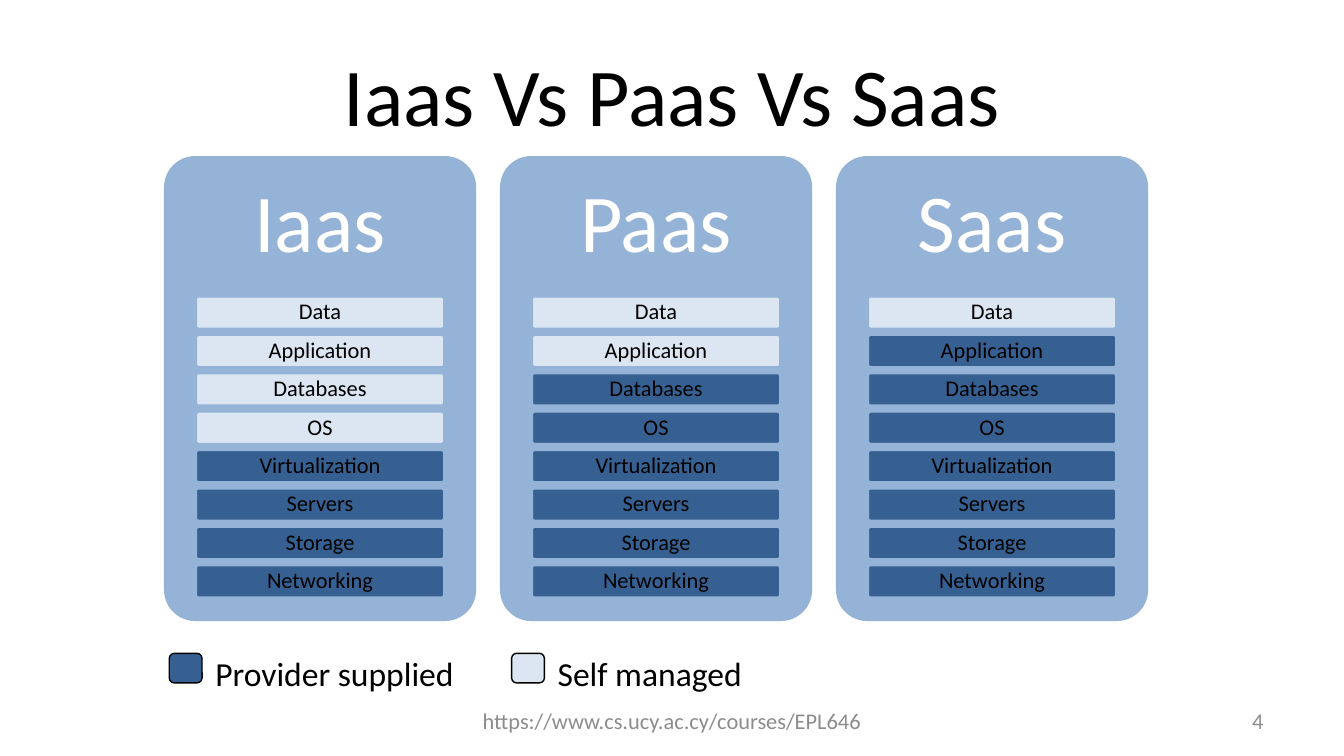
from pptx import Presentation
from pptx.dml.color import RGBColor
from pptx.enum.shapes import MSO_SHAPE
from pptx.enum.text import MSO_ANCHOR, PP_ALIGN
from pptx.util import Cm, Pt

BLACK = RGBColor(0x00, 0x00, 0x00)
WHITE = RGBColor(0xFF, 0xFF, 0xFF)
GREY = RGBColor(0x8C, 0x8C, 0x8C)
PANEL = RGBColor(0x95, 0xB3, 0xD7)
PROVIDER = RGBColor(0x37, 0x60, 0x92)
SELF = RGBColor(0xDC, 0xE6, 0xF2)

LAYERS = ["Data", "Application", "Databases", "OS",
          "Virtualization", "Servers", "Storage", "Networking"]
# Service model and how many of its top layers are self managed
MODELS = [("Iaas", 4), ("Paas", 2), ("Saas", 1)]
LEGEND = [("Provider supplied", PROVIDER, 3.2, 5.3),
          ("Self managed", SELF, 9.67, 4.52)]

PANEL_LEFT, PANEL_TOP, PANEL_PITCH = 3.1, 2.95, 6.35
PANEL_WIDTH, PANEL_HEIGHT, HEAD_HEIGHT = 5.9, 8.79, 2.64
BAR_WIDTH, BAR_HEIGHT, BAR_TOP = 4.72, 0.64, 5.59
BAR_PITCH = 5.08 / (len(LAYERS) - 1)


def write(sp, text, size=12, color=BLACK, align=PP_ALIGN.CENTER,
          anchor=MSO_ANCHOR.MIDDLE, inset=None, spacing=None):
    tf = sp.text_frame
    tf.word_wrap = True
    tf.vertical_anchor = anchor
    if inset is not None:
        tf.margin_left = tf.margin_right = Cm(inset)
        tf.margin_top = tf.margin_bottom = Cm(inset)
    p = tf.paragraphs[0]
    p.alignment = align
    if spacing:
        p.line_spacing = spacing
    r = p.add_run()
    r.text = text
    r.font.name = "Calibri"
    r.font.size = Pt(size)
    r.font.color.rgb = color


def add_text(s, text, left, top, width, height, **fmt):
    sp = s.shapes.add_textbox(Cm(left), Cm(top), Cm(width), Cm(height))
    write(sp, text, **fmt)


def add_box(s, left, top, width, height, fill, line=None, weight=0.75, corner=0.1):
    sp = s.shapes.add_shape(MSO_SHAPE.ROUNDED_RECTANGLE,
                            Cm(left), Cm(top), Cm(width), Cm(height))
    sp.adjustments[0] = corner
    sp.shadow.inherit = False
    sp.fill.solid()
    sp.fill.fore_color.rgb = fill
    if line is None:
        sp.line.fill.background()
    else:
        sp.line.color.rgb = line
        sp.line.width = Pt(weight)
    return sp


def add_title(s, text):
    sp = s.shapes.title
    sp.left, sp.top, sp.width, sp.height = Cm(1.27), Cm(0.58), Cm(22.86), Cm(2.38)
    write(sp, text, size=44)


def add_model(s, name, left, self_managed):
    add_box(s, left, PANEL_TOP, PANEL_WIDTH, PANEL_HEIGHT, PANEL)
    add_text(s, name, left, PANEL_TOP, PANEL_WIDTH, HEAD_HEIGHT,
             size=44, color=WHITE, inset=0.46, spacing=0.9)
    bar_left = left + (PANEL_WIDTH - BAR_WIDTH) / 2
    for i, layer in enumerate(LAYERS):
        fill = SELF if i < self_managed else PROVIDER
        bar = add_box(s, bar_left, BAR_TOP + i * BAR_PITCH, BAR_WIDTH, BAR_HEIGHT,
                      fill, line=PANEL, weight=2)
        write(bar, layer, inset=0.08, spacing=0.9)


def add_legend(s, label, color, left, width):
    add_box(s, left, 12.35, 0.62, 0.56, color, line=BLACK, corner=0.17)
    add_text(s, label, left + 0.62, 12.22, width, 1.02, size=18,
             align=PP_ALIGN.LEFT, anchor=MSO_ANCHOR.TOP)


def main():
    prs = Presentation()
    prs.slide_width, prs.slide_height = Cm(25.4), Cm(14.29)
    s = prs.slides.add_slide(prs.slide_layouts[5])
    add_title(s, "Iaas Vs Paas Vs Saas")
    for i, (name, self_managed) in enumerate(MODELS):
        add_model(s, name, PANEL_LEFT + i * PANEL_PITCH, self_managed)
    for entry in LEGEND:
        add_legend(s, *entry)
    add_text(s, "https://www.cs.ucy.ac.cy/courses/EPL646", 8.68, 13.24, 8.04, 0.76,
             color=GREY)
    add_text(s, "4", 18.2, 13.24, 5.93, 0.76, color=GREY, align=PP_ALIGN.RIGHT)
    prs.save("out.pptx")


if __name__ == "__main__":
    main()
